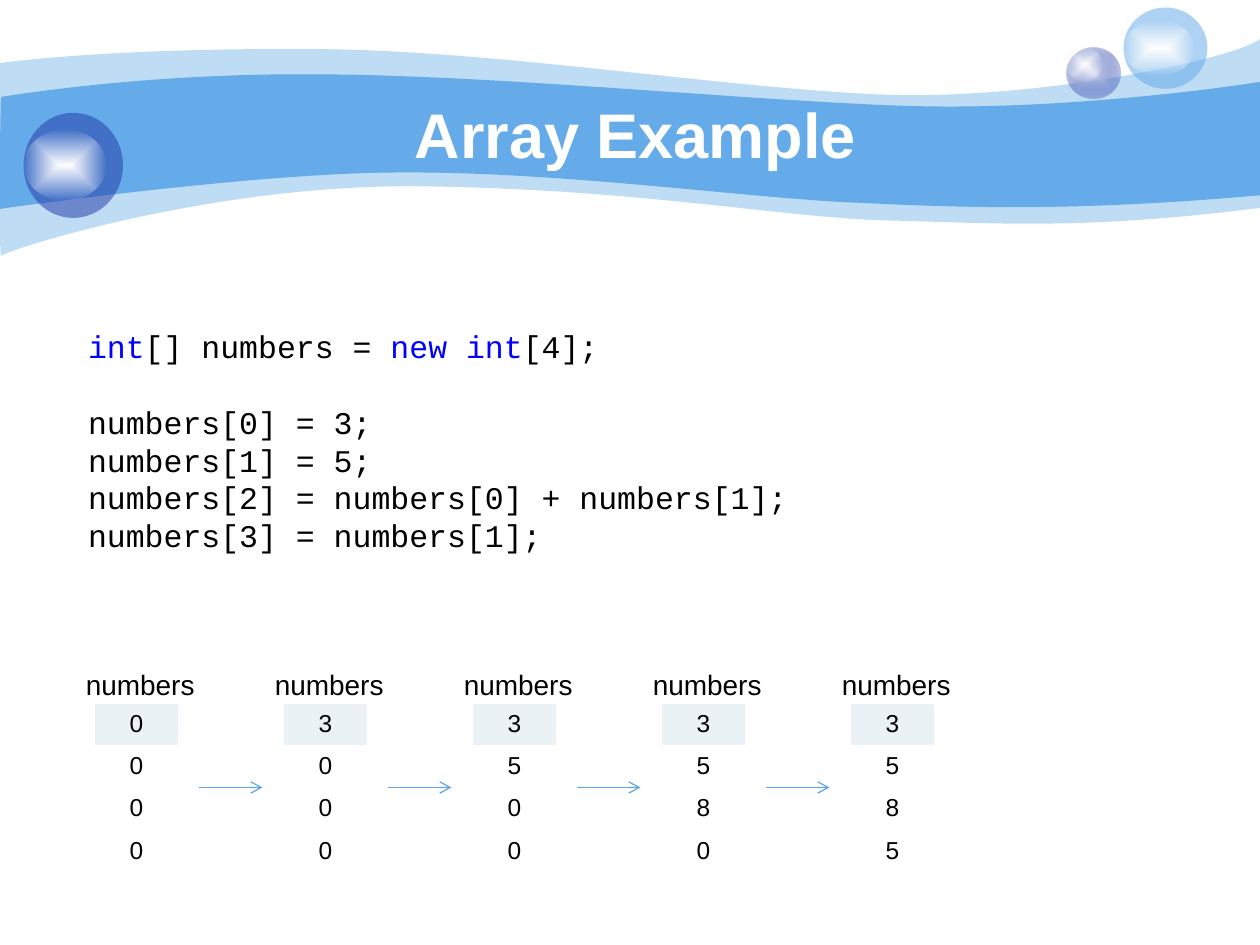
from dataclasses import dataclass

from pptx import Presentation
from pptx import util as u
from pptx.dml.color import RGBColor
from pptx.enum import shapes, text
from pptx.oxml import parse_xml
from pptx.oxml.ns import nsdecls, qn


@dataclass(frozen=True)
class Theme:
    sky: str = "65AAE9"
    navy: str = "233DA9"
    lilac: str = "C7CEE9"
    white: str = "FFFFFF"
    black: str = "000000"
    keyword: str = "0000FF"
    first_cell: str = "EBF2F5"
    arrow: str = "5FA6E7"
    sans: str = "Arial"
    mono: str = "Courier New"
    title_size: float = 36
    code_size: float = 18
    code_leading: float = 21.6
    label_size: float = 16
    cell_size: float = 14


@dataclass(frozen=True)
class Stop:
    color: str
    alpha: int = 100


@dataclass(frozen=True)
class Box:
    x: float
    y: float
    w: float
    h: float

    def emu(self) -> list:
        return [u.Pt(v) for v in (self.x, self.y, self.w, self.h)]


@dataclass(frozen=True)
class Band:
    fill: Stop
    start: tuple
    segments: tuple


@dataclass(frozen=True)
class Bubble:
    ball: Box
    shine: Box
    fill: tuple


@dataclass(frozen=True)
class CodeLine:
    runs: tuple
    gap: float = 0


T = Theme()
SHINE = (Stop(T.white), Stop(T.white, 0))
STEP = 108
BANDS = (
    Band(Stop(T.sky, 41), (0, 36), (
        ((17.3, 33.8), (77, 27.4), (177.8, 28.1)),
        ((277.9, 28.1), (414, 50.4), (503.3, 54)),
        ((591.8, 57.6), (705.6, 33.8), (720, 22.3)),
        ((720, 118.8),),
        ((617.8, 131.8), (566.6, 127.4), (507.6, 126)),
        ((447.8, 124.6), (370.8, 108.7), (247, 106.6)),
        ((123.8, 103.7), (2.9, 143.3), (0.7, 146.2)),
        ((-0.7, 149.8), (0, 54), (0, 36)))),
    Band(Stop(T.sky), (0.7, 55.4), (
        ((1.4, 55.4), (79.2, 41.8), (178.6, 42.5)),
        ((277.9, 42.5), (428.4, 57.6), (517, 60.5)),
        ((605.5, 63.4), (702.7, 49.7), (720, 46.8)),
        ((720, 111.6),),
        ((614.2, 121), (550.8, 118.8), (491, 115.9)),
        ((431.3, 113.8), (321.8, 97.9), (228.2, 98.6)),
        ((146.2, 98.6), (-1.4, 119.5), (-0.7, 119.5)),
        ((0, 119.5), (0, 55.4), (0.7, 55.4)))),
)
BUBBLES = (
    Bubble(Box(609.5, 27, 30.5, 29.2), Box(609.5, 27, 20.5, 19.5), (Stop(T.lilac), Stop(T.navy, 31))),
    Bubble(Box(642, 4.3, 48, 46.5), Box(642, 12, 40.3, 31), (Stop(T.sky, 53),)),
    Bubble(Box(13.5, 64.5, 56.8, 60), Box(13.5, 74.3, 47.3, 40.2), (Stop(T.navy, 53),)),
)
CODE = (
    CodeLine((("int", T.keyword), ("[] numbers = ", T.black),
              ("new int", T.keyword), ("[4];", T.black))),
    CodeLine((("numbers[0] = 3;", T.black),), T.code_leading),
    CodeLine((("numbers[1] = 5;", T.black),)),
    CodeLine((("numbers[2] = numbers[0] + numbers[1];", T.black),)),
    CodeLine((("numbers[3] = numbers[1];", T.black),)),
)
STATES = ("0000", "3000", "3500", "3580", "3585")


def apply(obj, **values) -> None:
    for name, value in values.items():
        setattr(obj, name, value)


def write(p, words: str, color: str, **font) -> None:
    r = p.add_run()
    r.text = words
    apply(r.font, **font)
    r.font.color.rgb = RGBColor.from_string(color)


def color_xml(stop: Stop) -> str:
    return f'<a:srgbClr val="{stop.color}"><a:alpha val="{stop.alpha * 1000}"/></a:srgbClr>'


def paint(sp, stops: tuple) -> None:
    sp.shadow.inherit = False
    sp.line.fill.background()
    sp.fill.solid()
    if len(stops) == 1:
        xml = f'<a:solidFill {nsdecls("a")}>{color_xml(stops[0])}</a:solidFill>'
    else:
        marks = "".join(f'<a:gs pos="{i * 100000}">{color_xml(c)}</a:gs>'
                        for i, c in enumerate(stops))
        xml = (f'<a:gradFill {nsdecls("a")} rotWithShape="1"><a:gsLst>{marks}</a:gsLst>'
               '<a:path path="rect"><a:fillToRect l="50000" t="50000" r="50000" b="50000"/>'
               '</a:path></a:gradFill>')
    spPr = sp.element.spPr
    spPr.replace(spPr.find(qn("a:solidFill")), parse_xml(xml))


def draw_band(s, band: Band) -> None:
    points = [tuple(u.Pt(v) for v in pt) for segment in band.segments for pt in segment]
    builder = s.shapes.build_freeform(*(u.Pt(v) for v in band.start))
    builder.add_line_segments(points, close=True)
    sp = builder.convert_to_shape()
    lines = iter(list(sp.element.spPr.iter(qn("a:lnTo"))))
    for segment in band.segments:
        first, *rest = [next(lines) for _ in segment]
        if rest:
            curve = parse_xml(f'<a:cubicBezTo {nsdecls("a")}/>')
            first.addprevious(curve)
            for line in (first, *rest):
                curve.append(line[0])
                line.getparent().remove(line)
    paint(sp, (band.fill,))


def draw_bubble(s, bubble: Bubble) -> None:
    group = s.shapes.add_group_shape()
    for box, fill in ((bubble.ball, bubble.fill), (bubble.shine, SHINE)):
        paint(group.shapes.add_shape(shapes.MSO_SHAPE.OVAL, *box.emu()), fill)


def draw_title(s, words: str) -> None:
    title = s.shapes.title
    title.element.getparent().append(title.element)
    apply(title, **dict(zip(("left", "top", "width", "height"), Box(72, 54, 582, 44.6).emu())))
    tf = title.text_frame
    apply(tf, vertical_anchor=text.MSO_ANCHOR.MIDDLE, word_wrap=True)
    p = tf.paragraphs[0]
    p.alignment = text.PP_ALIGN.CENTER
    write(p, words, T.white, name=T.sans, size=u.Pt(T.title_size), bold=True)


def draw_code(s, lines: tuple) -> None:
    tf = s.shapes.add_textbox(*Box(43.2, 183.4, 414, 136.8).emu()).text_frame
    apply(tf, vertical_anchor=text.MSO_ANCHOR.MIDDLE, word_wrap=False)
    for i, line in enumerate(lines):
        p = tf.add_paragraph() if i else tf.paragraphs[0]
        apply(p, line_spacing=u.Pt(T.code_leading), space_before=u.Pt(line.gap))
        for words, color in line.runs:
            write(p, words, color, name=T.mono, size=u.Pt(T.code_size))


def border_cell(cell, top: float, bottom: float) -> None:
    tcPr = cell._tc.get_or_add_tcPr()
    for side, width in (("L", 0.45), ("R", 0.45), ("T", top), ("B", bottom)):
        tcPr.append(parse_xml(
            f'<a:ln{side} {nsdecls("a")} w="{u.Pt(width)}"><a:solidFill>'
            f'<a:srgbClr val="{T.white}"/></a:solidFill></a:ln{side}>'))


def draw_array(s, x: float, values: str) -> None:
    box = Box(x, 402, 48, 24.2 * len(values))
    table = s.shapes.add_table(len(values), 1, *box.emu()).table
    apply(table, first_row=False, horz_banding=False)
    for i, value in enumerate(values):
        cell = table.cell(i, 0)
        border_cell(cell, 1.47 if i == 1 else 0.45, 1.47 if i == 0 else 0.45)
        cell.fill.solid()
        cell.fill.fore_color.rgb = RGBColor.from_string(T.white if i else T.first_cell)
        p = cell.text_frame.paragraphs[0]
        p.alignment = text.PP_ALIGN.CENTER
        write(p, value, T.black, name=T.sans, size=u.Pt(T.cell_size))
    tf = s.shapes.add_textbox(*Box(x - 12, 378, 78, 26.6).emu()).text_frame
    tf.word_wrap = True
    write(tf.paragraphs[0], "numbers", T.black, name=T.sans, size=u.Pt(T.label_size))


def draw_arrow(s, x: float) -> None:
    ends = [u.Pt(v) for v in (x, 450, x + 36, 450)]
    cx = s.shapes.add_connector(shapes.MSO_CONNECTOR.STRAIGHT, *ends)
    cx.line.width = u.Pt(0.75)
    cx.line.color.rgb = RGBColor.from_string(T.arrow)
    spPr = cx.element.spPr
    spPr.find(qn("a:ln")).append(parse_xml(f'<a:tailEnd {nsdecls("a")} type="arrow"/>'))
    spPr.append(parse_xml(f'<a:effectLst {nsdecls("a")}/>'))


def main() -> None:
    prs = Presentation()
    apply(prs, slide_width=u.Pt(720), slide_height=u.Pt(540))
    s = prs.slides.add_slide(prs.slide_layouts[5])
    for band in BANDS:
        draw_band(s, band)
    for bubble in BUBBLES:
        draw_bubble(s, bubble)
    draw_title(s, "Array Example")
    draw_code(s, CODE)
    for i, values in enumerate(STATES):
        draw_array(s, 54 + i * STEP, values)
    for i in range(len(STATES) - 1):
        draw_arrow(s, 114 + i * STEP)
    prs.save("out.pptx")


if __name__ == "__main__":
    main()
